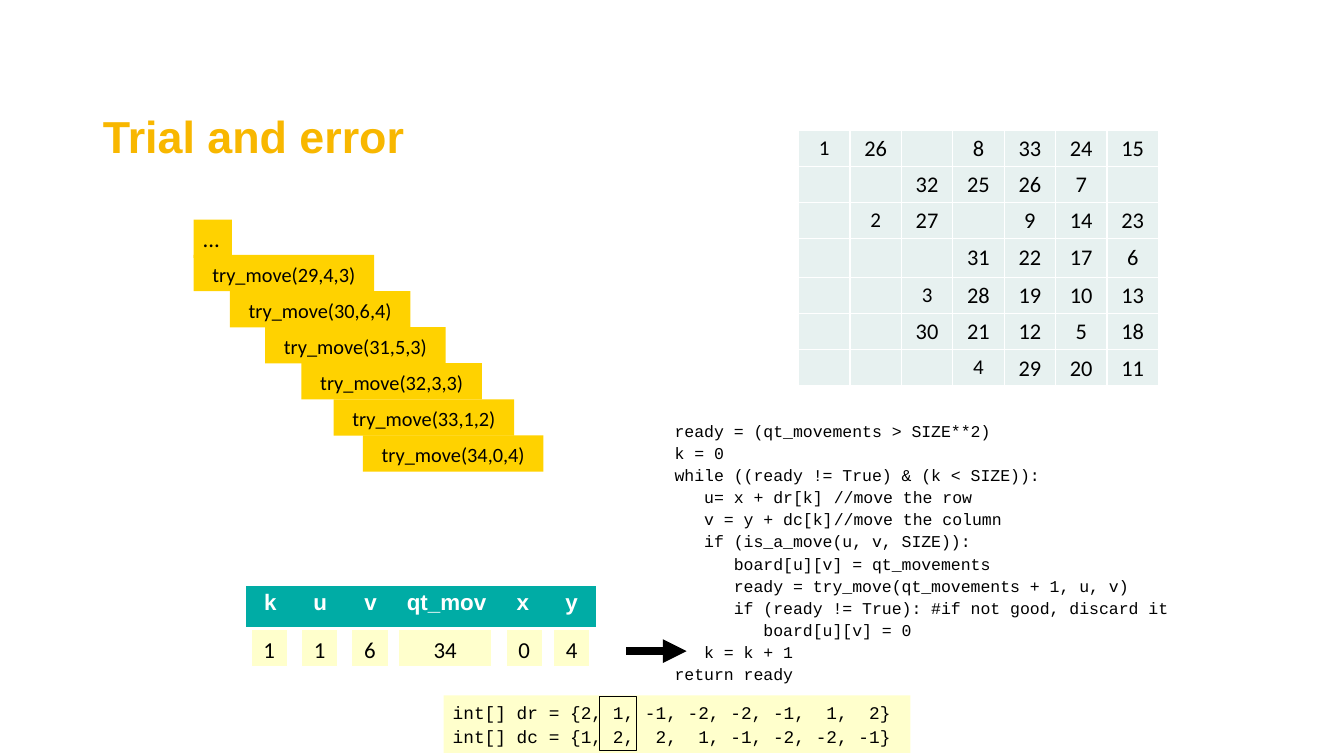
from lxml import etree
from pptx import Presentation
from pptx.dml.color import RGBColor
from pptx.enum.shapes import MSO_CONNECTOR, MSO_SHAPE
from pptx.enum.text import MSO_ANCHOR, MSO_AUTO_SIZE, PP_ALIGN
from pptx.oxml.ns import qn
from pptx.util import Inches, Pt

RECT = MSO_SHAPE.RECTANGLE
LEFT, CENTER = PP_ALIGN.LEFT, PP_ALIGN.CENTER
TOP, MIDDLE = MSO_ANCHOR.TOP, MSO_ANCHOR.MIDDLE
rgb = RGBColor.from_string


def write(p, text, size, font, color="000000", bold=False, align=LEFT, spacing=1.0):
    p.alignment, p.line_spacing = align, spacing
    r = p.add_run()
    r.text = text
    r.font.size, r.font.name, r.font.bold = Pt(size), font, bold
    r.font.color.rgb = rgb(color)


def add_box(x, y, w, h, fill=None, line=None, anchor=MIDDLE, top=0.06):
    """Add a flat rectangle and return its text frame."""
    sp = s.shapes.add_shape(RECT, Inches(x), Inches(y), Inches(w), Inches(h))
    sp.shadow.inherit = False
    if fill:
        sp.fill.solid()
        sp.fill.fore_color.rgb = rgb(fill)
    else:
        sp.fill.background()
    if line:
        sp.line.color.rgb = rgb(line)
        sp.line.width = Pt(0.75)
    else:
        sp.line.fill.background()
    tf = sp.text_frame
    tf.word_wrap, tf.vertical_anchor = False, anchor
    tf.margin_left = tf.margin_right = Inches(0.09)
    tf.margin_top, tf.margin_bottom = Inches(top), Inches(0.04)
    return tf


prs = Presentation()
prs.slide_width, prs.slide_height = Inches(13.33), Inches(7.5)
s = prs.slides.add_slide(prs.slide_layouts[5])

# Title
title = s.shapes.title
title.left, title.top = Inches(0.92), Inches(0.5)
title.width, title.height = Inches(4.3), Inches(1.75)
tf = title.text_frame
tf.auto_size, tf.vertical_anchor, tf.word_wrap = MSO_AUTO_SIZE.NONE, MIDDLE, True
write(tf.paragraphs[0], "Trial and error", 32, "Arial", "F8B700", True, spacing=0.9)

# Row and column offsets, and the code
offsets = ["int[] dr = {2, 1, -1, -2, -2, -1,  1,  2}",
           "int[] dc = {1, 2,  2,  1, -1, -2, -2, -1}"]
code = """ready = (qt_movements > SIZE**2)
k = 0
while ((ready != True) & (k < SIZE)):
   u= x + dr[k]\t//move the row
   v = y + dc[k]\t//move the column
   if (is_a_move(u, v, SIZE)):
      board[u][v] = qt_movements
      ready = try_move(qt_movements + 1, u, v)
      if (ready != True): #if not good, discard it
         board[u][v] = 0
   k = k + 1
return ready""".split("\n")

offsets_tf = add_box(4.4, 6.9, 4.63, 0.57, "FFFFCC", anchor=TOP, top=0.04)
code_tf = s.shapes.add_textbox(Inches(6.6), Inches(4.11), Inches(5.22), Inches(2.71)).text_frame
code_tf.word_wrap = True
code_tf.margin_left = code_tf.margin_right = Inches(0.09)
code_tf.margin_top = code_tf.margin_bottom = Inches(0.04)
for tf, lines, size in ((offsets_tf, offsets, 12.7), (code_tf, code, 11.8)):
    for i, text in enumerate(lines):
        p = tf.paragraphs[0] if i == 0 else tf.add_paragraph()
        if "\t" in text:
            tabs = etree.SubElement(p._p.get_or_add_pPr(), qn("a:tabLst"))
            etree.SubElement(tabs, qn("a:tab"), pos=str(Inches(1.58)), algn="l")
        write(p, text, size, "Courier New", spacing=1.12)
add_box(5.95, 6.91, 0.36, 0.54, line="000000")

# Current values of the variables
for x, w, value in ((2.49, 0.36, "1"), (2.99, 0.36, "1"), (3.49, 0.36, "6"),
                    (3.95, 0.93, "34"), (5.02, 0.36, "0"), (5.49, 0.36, "4")):
    tf = add_box(x, 6.25, w, 0.36, "FFFFCC", "FFFFFF")
    write(tf.paragraphs[0], value, 16.3, "Calibri", align=CENTER)

# Arrow to the current line of code
arrow = s.shapes.add_connector(MSO_CONNECTOR.STRAIGHT, Inches(6.21), Inches(6.46),
                               Inches(6.81), Inches(6.46))
arrow.line.color.rgb = rgb("000000")
arrow.line.width = Pt(5.67)
etree.SubElement(arrow.line._get_or_add_ln(), qn("a:tailEnd"), type="triangle")
etree.SubElement(arrow._element.spPr, qn("a:effectLst"))

# Stack of calls
calls = [(1.92, "29,4,3"), (2.28, "30,6,4"), (2.63, "31,5,3"),
         (2.99, "32,3,3"), (3.31, "33,1,2"), (3.6, "34,0,4")]
for i, (x, args) in enumerate(calls):
    tf = add_box(x, 2.53 + 0.358 * i, 1.79, 0.36, "FFD200")
    write(tf.paragraphs[0], f"try_move({args})", 14.5, "Calibri", align=CENTER)
tf = add_box(1.92, 2.18, 0.38, 0.38, "FFD200", anchor=TOP, top=0.05)
write(tf.paragraphs[0], "...", 16.3, "Calibri")

# Board and variable names
board = [["1", "26", "", "8", "33", "24", "15"],
         ["", "", "32", "25", "26", "7", ""],
         ["", "2", "27", "", "9", "14", "23"],
         ["", "", "", "31", "22", "17", "6"],
         ["", "", "3", "28", "19", "10", "13"],
         ["", "", "30", "21", "12", "5", "18"],
         ["", "", "", "4", "29", "20", "11"]]
names = [["k", "u", "v", "qt_mov", "x", "y"]]
board_heights = [0.36, 0.36, 0.36, 0.38, 0.36, 0.36, 0.36]
tables = [
    (board, 7.92, 1.29, [0.51] * 7, board_heights, "E7F1F0", "000000", "Calibri", False, 1),
    (names, 2.44, 5.81, [0.48, 0.51, 0.49, 1.02, 0.49, 0.48], [0.41],
     "00ACA5", "FFFFFF", "Arial", True, 0.03),
]
for rows, x, y, widths, heights, fill, color, font, bold, border in tables:
    table = s.shapes.add_table(len(rows), len(widths), Inches(x), Inches(y),
                               Inches(sum(widths)), Inches(sum(heights))).table
    table.first_row = table.horz_banding = False
    for column, w in zip(table.columns, widths):
        column.width = Inches(w)
    for row, h, values in zip(table.rows, heights, rows):
        row.height = Inches(h)
        for cell, value in zip(row.cells, values):
            cell.margin_left = cell.margin_right = Inches(0.09)
            cell.margin_top, cell.margin_bottom = Inches(0.06), Inches(0.05)
            tcPr = cell._tc.get_or_add_tcPr()
            for side in ("a:lnL", "a:lnR", "a:lnT", "a:lnB"):
                ln = etree.SubElement(tcPr, qn(side), w=str(Pt(border)))
                solid = etree.SubElement(ln, qn("a:solidFill"))
                etree.SubElement(solid, qn("a:srgbClr"), val="FFFFFF")
            cell.fill.solid()
            cell.fill.fore_color.rgb = rgb(fill)
            p = cell.text_frame.paragraphs[0]
            if value:
                size = 15 if value in ("1", "2", "3", "4") else 16
                write(p, value, size, font, color, bold, CENTER, 0.93)
            else:
                etree.SubElement(p._p, qn("a:endParaRPr"), sz="1400")

prs.save("out.pptx")
